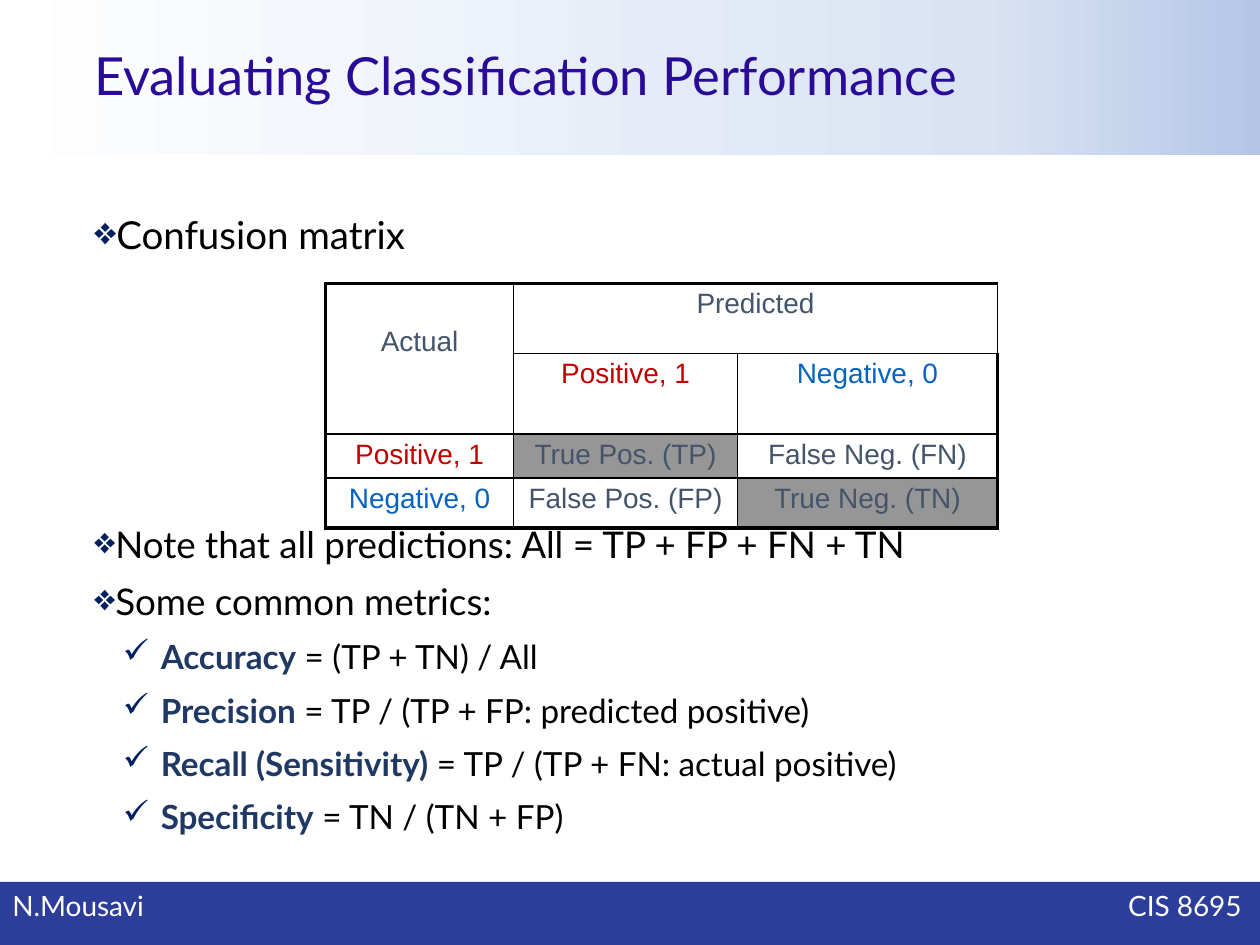
from dataclasses import dataclass

import pptx
import pptx.dml.color
import pptx.enum.shapes
import pptx.enum.text
import pptx.oxml
import pptx.oxml.ns
import pptx.util

Pt = pptx.util.Pt
Align = pptx.enum.text.PP_ALIGN
Anchor = pptx.enum.text.MSO_ANCHOR
qn = pptx.oxml.ns.qn
NAMESPACE = 'xmlns:a="http://schemas.openxmlformats.org/drawingml/2006/main"'

COLORS = {
    "title": "290B97", "footer": "2C3E9A", "white": "FFFFFF", "black": "000000",
    "bullet": "002060", "metric": "203864", "table": "44546A",
    "positive": "C00000", "negative": "0563C1", "correct": "969696",
}
HEADER_STOPS = ((0, "B4C7E7"), (22, "DAE3F3"), (100, "FFFFFF"))


@dataclass(frozen=True)
class Bullet:
    mark: str
    size: float
    margin: float
    indent: float


@dataclass(frozen=True)
class Cell:
    row: int
    column: int
    text: str
    color: str = "table"
    fill: str = ""
    last_row: int = 0
    last_column: int = 0


HEADING = Bullet("❖", 22, 10, -28.8)
POINT = Bullet("❖", 21, 10, -28.8)
METRIC = Bullet("✓", 19, 38, -21.6)

METRICS = (
    ("Accuracy", " = (TP + TN) / All"),
    ("Precision", " = TP / (TP + FP: predicted positive)"),
    ("Recall (Sensitivity)", " = TP / (TP + FN: actual positive)"),
    ("Specificity", " = TN / (TN + FP)"),
)
COLUMN_WIDTHS = (107.5, 128, 148.5)
ROW_HEIGHTS = (40, 46, 24.6, 28.6)
CELLS = (
    Cell(0, 0, "Actual", last_row=1),
    Cell(0, 1, "Predicted", last_column=2),
    Cell(1, 1, "Positive, 1", "positive"),
    Cell(1, 2, "Negative, 0", "negative"),
    Cell(2, 0, "Positive, 1", "positive"),
    Cell(2, 1, "True Pos. (TP)", fill="correct"),
    Cell(2, 2, "False Neg. (FN)"),
    Cell(3, 0, "Negative, 0", "negative"),
    Cell(3, 1, "False Pos. (FP)"),
    Cell(3, 2, "True Neg. (TN)", fill="correct"),
)


def rgb(name: str) -> pptx.dml.color.RGBColor:
    return pptx.dml.color.RGBColor.from_string(COLORS[name])


def add_text(para, text: str, *, size: float, color: str = "black",
             font: str = "Lato", bold: bool = False) -> None:
    span = para.add_run()
    span.text = text
    span.font.name = font
    span.font.size = Pt(size)
    span.font.bold = bold
    span.font.color.rgb = rgb(color)


def add_box(slide, left: float, top: float, width: float, height: float):
    box = slide.shapes.add_textbox(Pt(left), Pt(top), Pt(width), Pt(height))
    box.text_frame.word_wrap = True
    return box.text_frame


def add_band(slide, top: float, height: float):
    band = slide.shapes.add_shape(pptx.enum.shapes.MSO_SHAPE.RECTANGLE,
                                  0, Pt(top), Pt(720), Pt(height))
    band.shadow.inherit = False
    band.line.fill.background()
    return band


def add_header(slide) -> None:
    band = add_band(slide, 0, 88.5)
    band.fill.gradient()
    band.fill.gradient_angle = 180
    stops = "".join(f'<a:gs pos="{percent * 1000}"><a:srgbClr val="{color}"/></a:gs>'
                    for percent, color in HEADER_STOPS)
    gradient = band.fill._xPr.find(qn("a:gradFill"))
    gradient.replace(gradient.find(qn("a:gsLst")),
                     pptx.oxml.parse_xml(f"<a:gsLst {NAMESPACE}>{stops}</a:gsLst>"))

    frame = add_box(slide, 46.8, 0, 565, 90)
    frame.vertical_anchor = Anchor.MIDDLE
    frame.paragraphs[0].line_spacing = 0.9
    add_text(frame.paragraphs[0], "Evaluating Classification Performance",
             size=30, color="title")


def add_footer(slide) -> None:
    band = add_band(slide, 504, 36)
    band.fill.solid()
    band.fill.fore_color.rgb = rgb("footer")
    band.text_frame.vertical_anchor = Anchor.TOP
    para = band.text_frame.paragraphs[0]
    para.alignment = Align.LEFT
    para._p.get_or_add_pPr().append(pptx.oxml.parse_xml(
        f'<a:tabLst {NAMESPACE}><a:tab pos="{Pt(702.5)}" algn="r"/></a:tabLst>'))
    add_text(para, "N.Mousavi\tCIS 8695", size=16, color="white")


def add_bullet(frame, bullet: Bullet, text: str, term: str = "") -> None:
    """Add a bulleted line, led by a bold term if there is one."""
    para = frame.paragraphs[0]
    if para.runs:
        para = frame.add_paragraph()
    para.line_spacing = 0.9
    para.space_before = para.space_after = Pt(5)
    properties = para._p.get_or_add_pPr()
    properties.set("marL", str(Pt(bullet.margin)))
    properties.set("indent", str(Pt(bullet.indent)))
    for xml in (f'<a:buClr {NAMESPACE}><a:srgbClr val="{COLORS["bullet"]}"/></a:buClr>',
                f'<a:buChar {NAMESPACE} char="{bullet.mark}"/>'):
        properties.append(pptx.oxml.parse_xml(xml))
    if term:
        add_text(para, term, size=bullet.size, color="metric", bold=True)
    add_text(para, text, size=bullet.size)


def add_borders(cell, row: int, column: int) -> None:
    """Draw thin lines inside the table and thick ones around it."""
    outer = {"L": column == 0, "R": column == len(COLUMN_WIDTHS) - 1,
             "T": row == 0, "B": row == len(ROW_HEIGHTS) - 1}
    for side, is_outer in outer.items():
        cell._tc.get_or_add_tcPr().append(pptx.oxml.parse_xml(
            f'<a:ln{side} {NAMESPACE} w="{Pt(2.25 if is_outer else 1)}"><a:solidFill>'
            f'<a:srgbClr val="{COLORS["black"]}"/></a:solidFill></a:ln{side}>'))


def add_confusion_matrix(slide) -> None:
    table = slide.shapes.add_table(
        len(ROW_HEIGHTS), len(COLUMN_WIDTHS), Pt(186), Pt(162),
        Pt(sum(COLUMN_WIDTHS)), Pt(sum(ROW_HEIGHTS))).table
    table.first_row = table.horz_banding = False
    for column, width in zip(table.columns, COLUMN_WIDTHS):
        column.width = Pt(width)
    for row, height in enumerate(ROW_HEIGHTS):
        table.rows[row].height = Pt(height)
        for column in range(len(COLUMN_WIDTHS)):
            cell = table.cell(row, column)
            add_borders(cell, row, column)
            cell.fill.background()
    for item in CELLS:
        cell = table.cell(item.row, item.column)
        cell.margin_top = cell.margin_bottom = Pt(3)
        if item.last_row or item.last_column:
            cell.merge(table.cell(max(item.row, item.last_row),
                                  max(item.column, item.last_column)))
        if item.last_row:
            cell.vertical_anchor = Anchor.MIDDLE
            cell.margin_top, cell.margin_bottom = 0, Pt(19)
        if item.fill:
            cell.fill.solid()
            cell.fill.fore_color.rgb = rgb(item.fill)
        para = cell.text_frame.paragraphs[0]
        para.alignment = Align.CENTER
        add_text(para, item.text, size=16, color=item.color, font="Arial")


def main() -> None:
    deck = pptx.Presentation()
    deck.slide_width, deck.slide_height = Pt(720), Pt(540)
    slide = deck.slides.add_slide(deck.slide_layouts[6])
    add_header(slide)
    add_footer(slide)
    add_bullet(add_box(slide, 46.8, 120.2, 606, 34), HEADING, "Confusion matrix")
    notes = add_box(slide, 46.8, 297.5, 606, 200)
    add_bullet(notes, POINT, "Note that all predictions: All = TP + FP + FN + TN")
    add_bullet(notes, POINT, "Some common metrics:")
    for term, formula in METRICS:
        add_bullet(notes, METRIC, formula, term)
    add_confusion_matrix(slide)
    deck.save("out.pptx")


if __name__ == "__main__":
    main()
